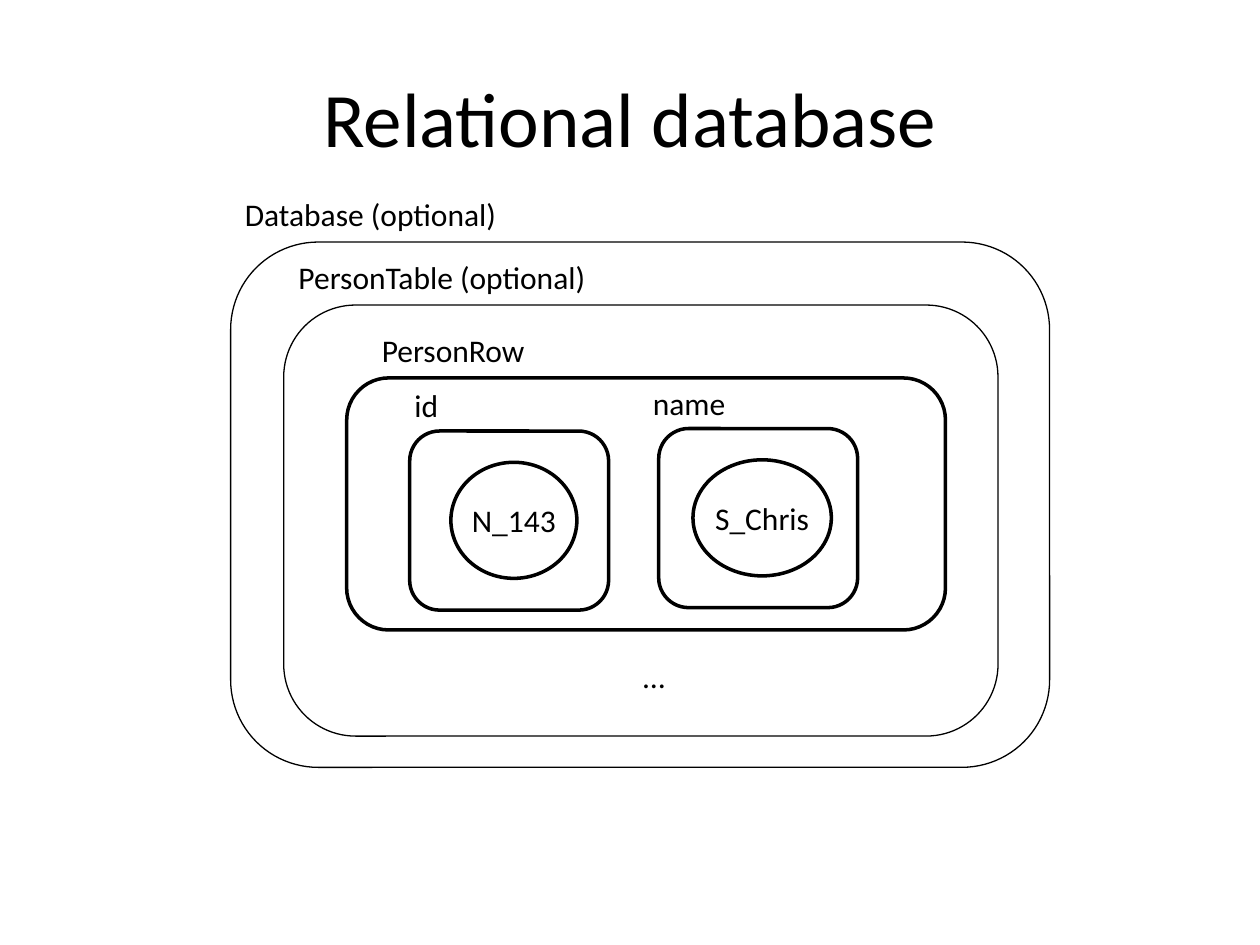
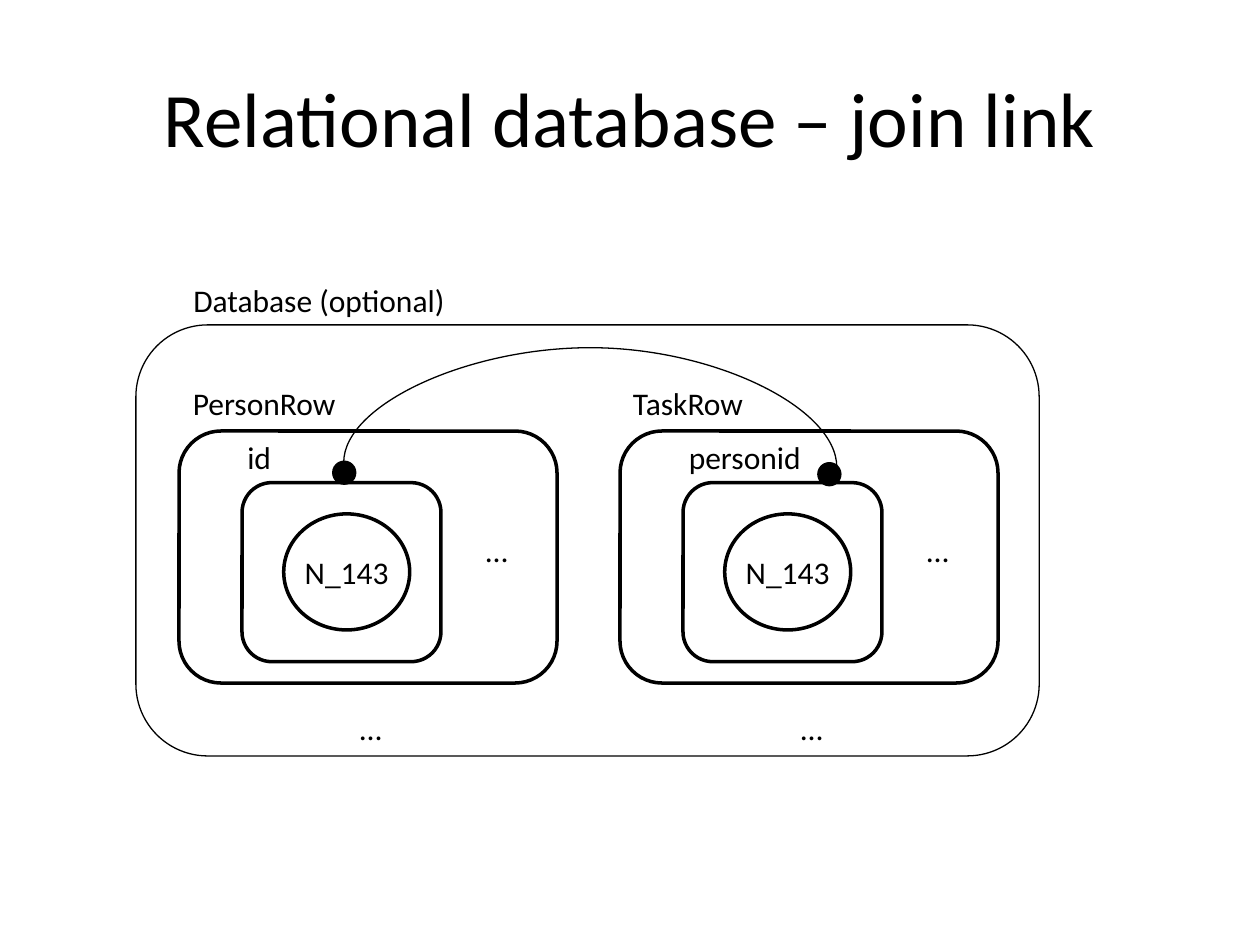
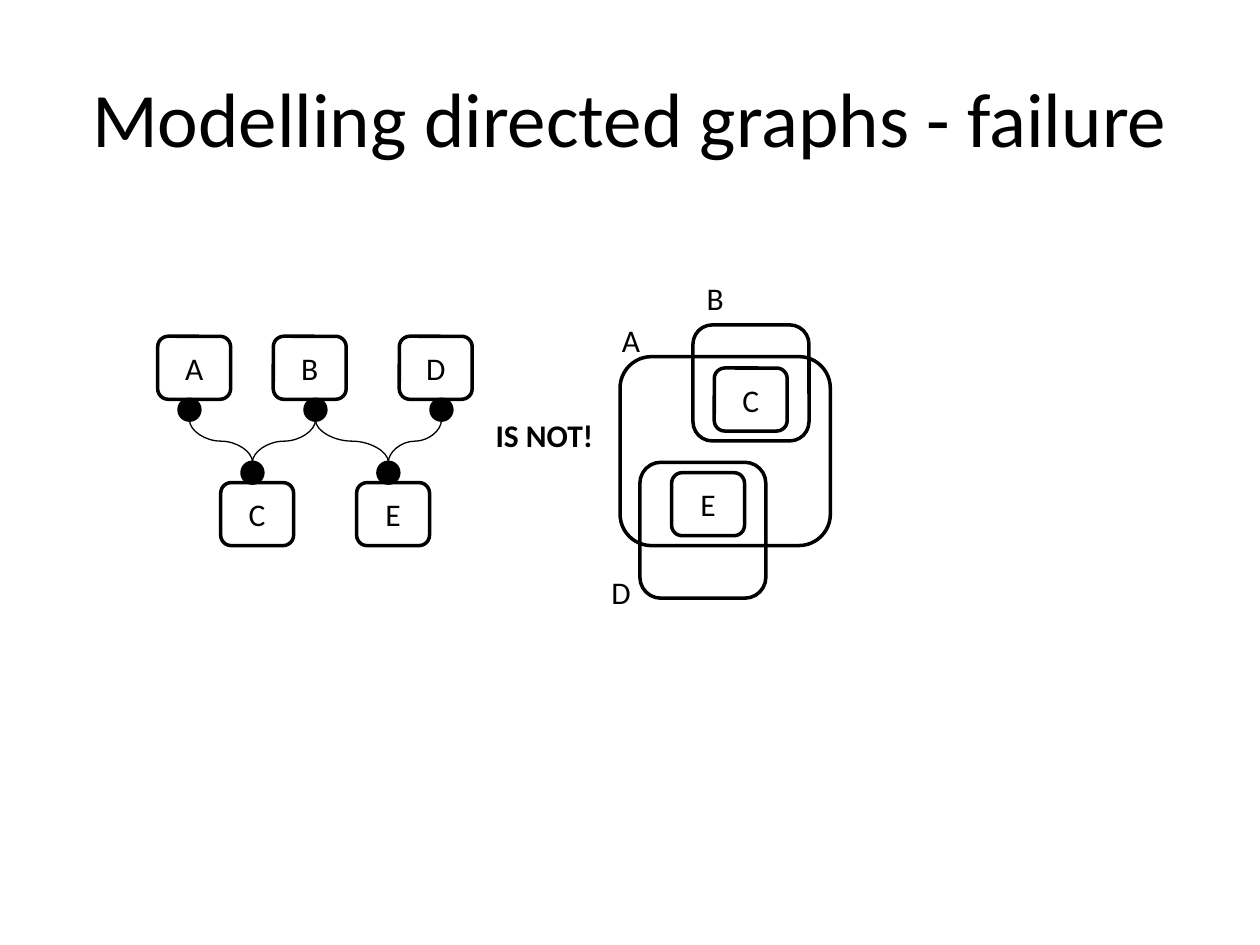
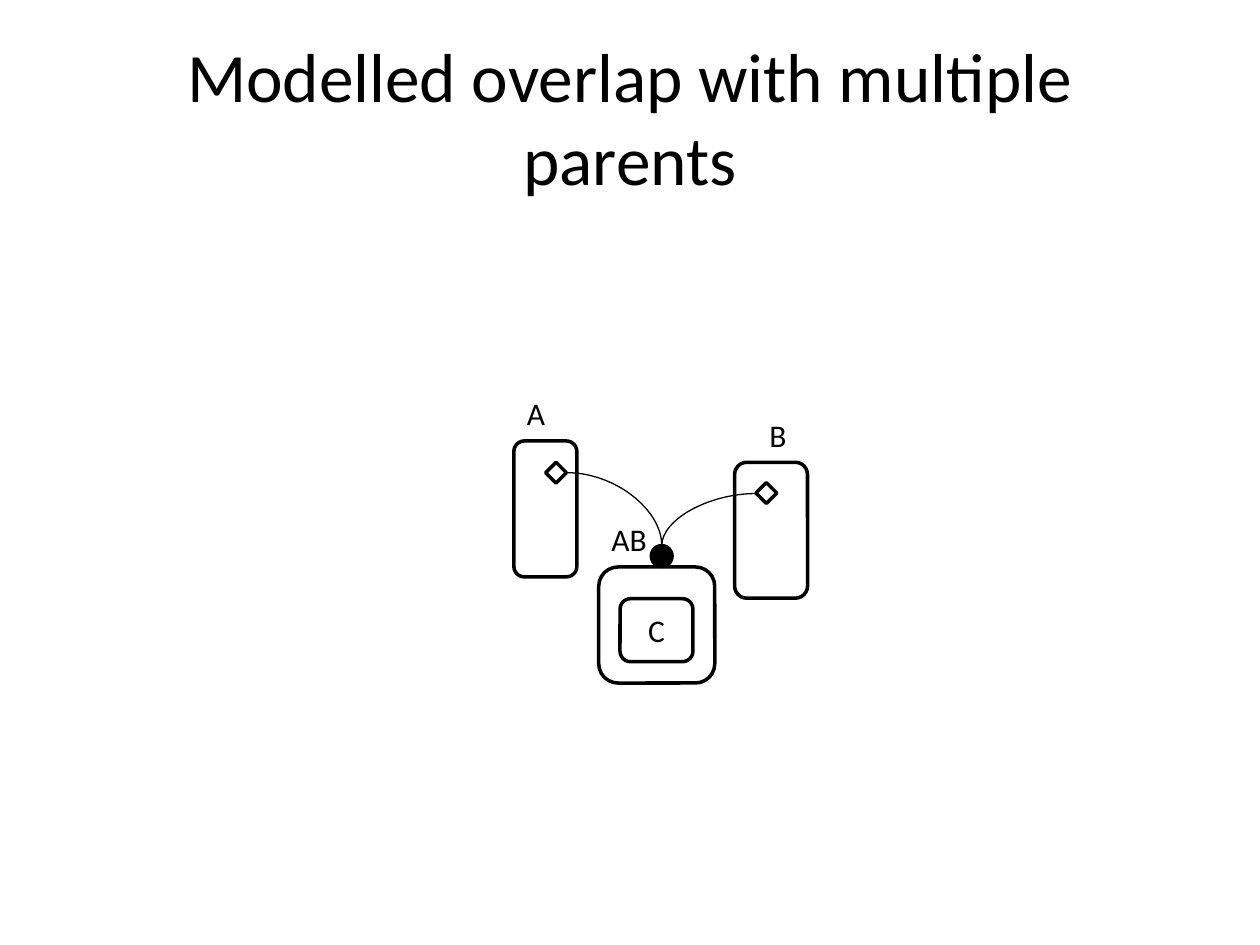
from lxml.etree import SubElement as Sub
from pptx import Presentation
from pptx.dml.color import RGBColor as Rgb
from pptx.enum.shapes import MSO_CONNECTOR as Link, MSO_SHAPE as Kind
from pptx.enum.text import MSO_ANCHOR as Anchor, MSO_AUTO_SIZE as Auto, PP_ALIGN as Align
from pptx.oxml.ns import qn
from pptx.util import Cm, Pt

# Shared style, lengths in cm
INK = {"black": "000000", "white": "FFFFFF"}
FONT = "Calibri"
HIGH = 1.02          # label height
TILE = (1.47, 1.27)  # small lettered box
DOT = (0.42, 0.42)   # link end
CELL = (4.01, 3.61)  # column box
ROUND, OVAL, GEM = Kind.ROUNDED_RECTANGLE, Kind.OVAL, Kind.DIAMOND
TITLES = [
    ("Relational database", 44),
    ("Relational database – join link", 44),
    ("Modelling directed graphs - failure", 44),
    ("Modelled overlap with multiple parents", 39.6),
]


def put(page, text, x, y, w, h=HIGH, kind=None, fill="white", line=2,
        size=18, bold=False, title=False):
    """Place the title, a preset shape or, without a kind, a label."""
    at = [Cm(n) for n in (x, y, w, h)]
    if title:
        item = page.shapes.title
        item.left, item.top, item.width, item.height = at
    elif kind is None:
        item = page.shapes.add_textbox(*at)
    else:
        item = page.shapes.add_shape(kind, *at)
        item.shadow.inherit = False
        item.line.color.rgb = Rgb.from_string(INK["black"])
        item.line.width = Pt(line)
        if fill:
            item.fill.solid()
            item.fill.fore_color.rgb = Rgb.from_string(INK[fill])
        else:
            item.fill.background()
    if not text:
        return
    frame = item.text_frame
    frame.text = text
    if kind is None and not title:
        frame.word_wrap = False
        frame.auto_size = Auto.SHAPE_TO_FIT_TEXT
    else:
        frame.vertical_anchor = Anchor.MIDDLE
    if kind == OVAL:
        frame.margin_left = frame.margin_right = 0
    para = frame.paragraphs[0]
    para.alignment = Align.CENTER
    font = para.runs[0].font
    font.name, font.size, font.bold = FONT, Pt(size), bold
    font.color.rgb = Rgb.from_string(INK["black"])


def curve(page, start, end, turn, flip, bends=3, bulge=None):
    """Draw a curved link; turn and flip set the way it leaves its start."""
    (ax, ay), (bx, by) = start, end
    w, h = abs(bx - ax), abs(by - ay)
    if turn % 180:
        w, h = h, w
    x, y = (ax + bx - w) / 2, (ay + by - h) / 2
    link = page.shapes.add_connector(Link.CURVE, Cm(x), Cm(y), Cm(x + w), Cm(y + h))
    link.line.color.rgb = Rgb.from_string(INK["black"])
    link.line.width = Pt(0.75)
    prop = link._element.spPr
    form = prop.find(qn("a:xfrm"))
    form.set("rot", str(turn * 60000))
    for axis in flip:
        form.set("flip" + axis, "1")
    geom = prop.find(qn("a:prstGeom"))
    geom.set("prst", f"curvedConnector{bends}")
    if bulge is not None:
        Sub(geom.find(qn("a:avLst")), qn("a:gd"), name="adj1",
            fmla=f"val {round(bulge * 100000)}")
    Sub(prop, qn("a:effectLst"))


# Slides with their titles
deck = Presentation()
deck.slide_width, deck.slide_height = Cm(25.4), Cm(19.05)
pages = []
for text, size in TITLES:
    page = deck.slides.add_slide(deck.slide_layouts[5])
    put(page, text, 1.27, 0.76, 22.86, 3.18, size=size, title=True)
    pages.append(page)
base, join, graph, over = pages

# Slide 1: nested row, table and database
put(base, "", 6.99, 7.62, 12.07, 5.08, kind=ROUND)
put(base, "PersonRow", 7.42, 6.55, 3.43)
for name, nx, ny, nw, x, y, value, vx, vw in [
    ("id", 8.1, 7.65, 0.99, 8.26, 8.69, "N_143", 9.09, 2.54),
    ("name", 12.9, 7.62, 1.98, 13.28, 8.64, "S_Chris", 13.97, 2.79),
]:
    put(base, "", x, y, *CELL, kind=ROUND)
    put(base, name, nx, ny, nw)
    put(base, value, vx, y + 0.63, vw, 2.34, kind=OVAL)
put(base, "", 5.72, 6.15, 14.4, 8.69, kind=ROUND, fill=None, line=0.75)
put(base, "PersonTable (optional)", 5.72, 5.08, 6.38)
put(base, "", 4.65, 4.88, 16.51, 10.59, kind=ROUND, fill=None, line=0.75)
put(base, "Database (optional)", 4.65, 3.81, 5.64)
put(base, "…", 12.7, 13.13, 0.97)

# Slide 2: two rows joined by a link
put(join, "", 2.74, 6.55, 18.21, 8.69, kind=ROUND, fill=None, line=0.75)
put(join, "Database (optional)", 3.61, 5.54, 5.64)
for x, row, rw, name, nw in [
    (3.61, "PersonRow", 3.43, "id", 0.99),
    (12.5, "TaskRow", 2.74, "personid", 2.79),
]:
    put(join, "", x, 8.69, 7.62, 5.08, kind=ROUND)
    put(join, row, x, 7.62, rw)
    put(join, "", x + 1.27, 9.73, *CELL, kind=ROUND)
    put(join, name, x + 1.12, 8.71, nw)
    put(join, "N_143", x + 2.11, 10.36, 2.54, 2.34, kind=OVAL)
    put(join, "…", x + 5.92, 10.59, 0.97)
    put(join, "…", x + 3.38, 14.17, 0.97)
curve(join, (6.93, 9.32), (16.87, 9.42), 270, "H", bulge=-23.1)
for x, y in [(6.73, 9.32), (16.51, 9.35)]:
    put(join, "", x, y, *DOT, kind=OVAL, fill="black")

# Slide 3, left: linked tiles with their dots
for name, x, y, dx, dy in [
    ("A", 3.18, 6.78, 3.61, 8.05),
    ("B", 5.51, 6.78, 6.15, 8.05),
    ("D", 8.05, 6.78, 8.69, 8.05),
    ("C", 4.45, 9.73, 4.88, 9.32),
    ("E", 7.19, 9.73, 7.62, 9.32),
]:
    put(graph, name, x, y, *TILE, kind=ROUND)
    put(graph, "", dx, dy, *DOT, kind=OVAL, fill="black")
for low, left, right in [(5.09, 3.82, 6.36), (7.83, 6.36, 8.9)]:
    curve(graph, (low, 9.32), (left, 8.47), 270, "V")
    curve(graph, (low, 9.32), (right, 8.47), 90, "HV")
put(graph, "IS NOT!", 9.73, 8.26, 2.49, bold=True)

# Slide 3, right: overlapping boxes
for name, nx, ny, x, y, w, h, fill in [
    ("A", 12.27, 6.35, 12.5, 7.19, 4.24, 3.81, "white"),
    ("B", 13.97, 5.51, 13.97, 6.55, 2.34, 2.34, None),
    ("D", 12.07, 11.43, 12.9, 9.32, 2.54, 2.74, None),
]:
    put(graph, "", x, y, w, h, kind=ROUND, fill=fill)
    put(graph, name, nx, ny, 0.9)
put(graph, "E", 13.54, 9.53, *TILE, kind=ROUND)
put(graph, "C", 14.4, 7.42, *TILE, kind=ROUND)

# Slide 4: parents A and B share the child AB
for name, nx, ny, nw, x, y, w, h, fill in [
    ("A", 10.36, 7.82, 0.89, 10.36, 8.89, 1.27, 2.74, "white"),
    ("AB", 12.07, 10.36, 1.22, 12.07, 11.43, 2.34, 2.34, None),
    ("B", 15.24, 8.26, 0.89, 14.81, 9.32, 1.47, 2.74, None),
]:
    put(over, "", x, y, w, h, kind=ROUND, fill=fill)
    put(over, name, nx, ny, nw)
put(over, "C", 12.5, 12.07, *TILE, kind=ROUND)
put(over, "", 13.13, 11, *DOT, kind=OVAL, fill="black")
curve(over, (13.34, 11), (11.43, 9.53), 270, "V", bends=2)
curve(over, (15.24, 9.95), (13.34, 11), 180, "V", bends=2)
for x, y in [(11, 9.32), (15.24, 9.73)]:
    put(over, "", x, y, *DOT, kind=GEM, fill=None)

deck.save("out.pptx")
